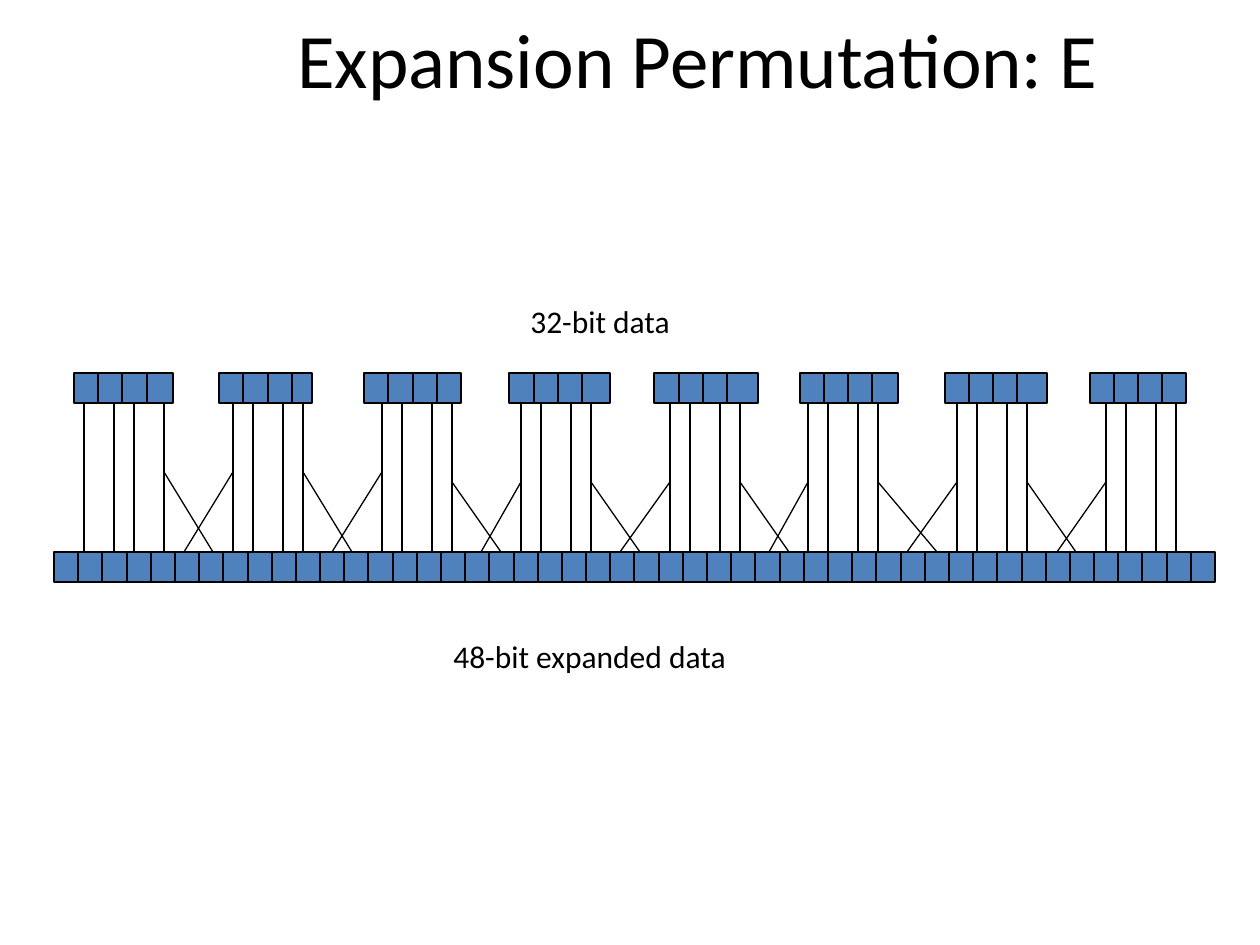
from typing import NamedTuple, Optional
from lxml.etree import SubElement
from pptx import Presentation
from pptx.dml.color import RGBColor as Rgb
from pptx.enum.shapes import MSO_CONNECTOR as Conn, MSO_SHAPE as Shape
from pptx.enum.text import MSO_ANCHOR as Anchor, PP_ALIGN as Align
from pptx.oxml.ns import qn
from pptx.util import Pt

SCALE = 914400 / 126
HEX = {"cell": "4F81BD", "ink": "000000"}
FONT = "Calibri"

# Rows of bits: left edge, top and height in px
TOP_X, TOP_Y = 74, 373
LOW_X, LOW_Y = 54, 552
ROW_H = 30
GROUPS, LOW_BITS, TOP_BITS = 8, 6, 4
SPAN = 1161  # width of the whole 48-bit row

EVEN = (0, 20, 50, 70)
FIRST = (0, 30, 50, 80)


class Cross(NamedTuple):
    knee: int  # height where the slanted wires leave the straight ones
    right: int  # foot of the wire from this group
    left: int  # foot of the wire from the next group


class Group(NamedTuple):
    width: int
    wire: int  # x of the first wire
    steps: tuple[int, ...]
    cross: Optional[Cross] = None


class Label(NamedTuple):
    text: str
    x: int
    y: int
    w: int
    h: int
    size: int
    align: Align
    anchor: Anchor


PARTS = [
    Group(99, 84, FIRST, Cross(472, 213, 184)),
    Group(93, 233, EVEN, Cross(472, 352, 332)),
    Group(97, 382, EVEN, Cross(482, 501, 481)),
    Group(101, 521, EVEN, Cross(482, 640, 620)),
    Group(104, 670, EVEN, Cross(482, 789, 769)),
    Group(98, 808, EVEN, Cross(482, 937, 907)),
    Group(102, 957, EVEN, Cross(482, 1076, 1057)),
    Group(96, 1106, EVEN),
]

LABELS = [
    Label("Expansion Permutation: E", 136, 0, 1124, 115, 44, Align.CENTER, Anchor.MIDDLE),
    Label("32-bit data", 518, 296, 202, 50, 18, Align.LEFT, Anchor.TOP),
    Label("48-bit expanded data", 441, 631, 367, 50, 18, Align.LEFT, Anchor.TOP),
]


def px(val: int) -> int:
    return round(val * SCALE)


def tint(key: str) -> Rgb:
    return Rgb.from_string(HEX[key])


def offset(bits: int) -> int:
    """Distance in px covered by a number of bit cells."""
    return round(SPAN * bits / (GROUPS * LOW_BITS))


def add_line(slide, x1: int, y1: int, x2: int, y2: int) -> None:
    line = slide.shapes.add_connector(Conn.STRAIGHT, px(x1), px(y1), px(x2), px(y2))
    line.line.color.rgb = tint("ink")
    line.line.width = Pt(0.75)
    SubElement(line.element.spPr, qn("a:effectLst"))


def add_cells(slide, x: int, y: int, width: int, start: int, bits: int) -> None:
    """One box, divided into bits; start is its first bit within the row."""
    left = x + offset(start)
    box = slide.shapes.add_shape(Shape.RECTANGLE, px(left), px(y), px(width), px(ROW_H))
    box.shadow.inherit = False
    box.fill.solid()
    box.fill.fore_color.rgb = tint("cell")
    box.line.color.rgb = tint("ink")
    box.line.width = Pt(0.75)
    for bit in range(1, bits):
        mark = x + offset(start + bit)
        add_line(slide, mark, y, mark, y + ROW_H)


def add_label(slide, item: Label) -> None:
    box = slide.shapes.add_textbox(px(item.x), px(item.y), px(item.w), px(item.h))
    frame = box.text_frame
    frame.word_wrap = True
    frame.vertical_anchor = item.anchor
    frame.text = item.text
    para = frame.paragraphs[0]
    para.alignment = item.align
    font = para.runs[0].font
    font.name = FONT
    font.size = Pt(item.size)
    font.color.rgb = tint("ink")


def main() -> None:
    deck = Presentation()
    deck.slide_width, deck.slide_height = px(1260), px(945)
    slide = deck.slides.add_slide(deck.slide_layouts[6])

    # Both rows of bits
    for num in range(GROUPS):
        start = num * LOW_BITS
        width = offset(start + LOW_BITS) - offset(start)
        add_cells(slide, LOW_X, LOW_Y, width, start, LOW_BITS)
    for num, part in enumerate(PARTS):
        add_cells(slide, TOP_X, TOP_Y, part.width, num * LOW_BITS, TOP_BITS)

    # Straight wires
    for part in PARTS:
        for step in part.steps:
            x = part.wire + step
            add_line(slide, x, TOP_Y + ROW_H, x, LOW_Y)

    # Crossed wires between neighbours
    for part, after in zip(PARTS, PARTS[1:]):
        cross = part.cross
        add_line(slide, cross.right, LOW_Y, part.wire + part.steps[-1], cross.knee)
        add_line(slide, cross.left, LOW_Y, after.wire, cross.knee)

    # Title and captions
    for item in LABELS:
        add_label(slide, item)

    deck.save("out.pptx")


if __name__ == "__main__":
    main()
